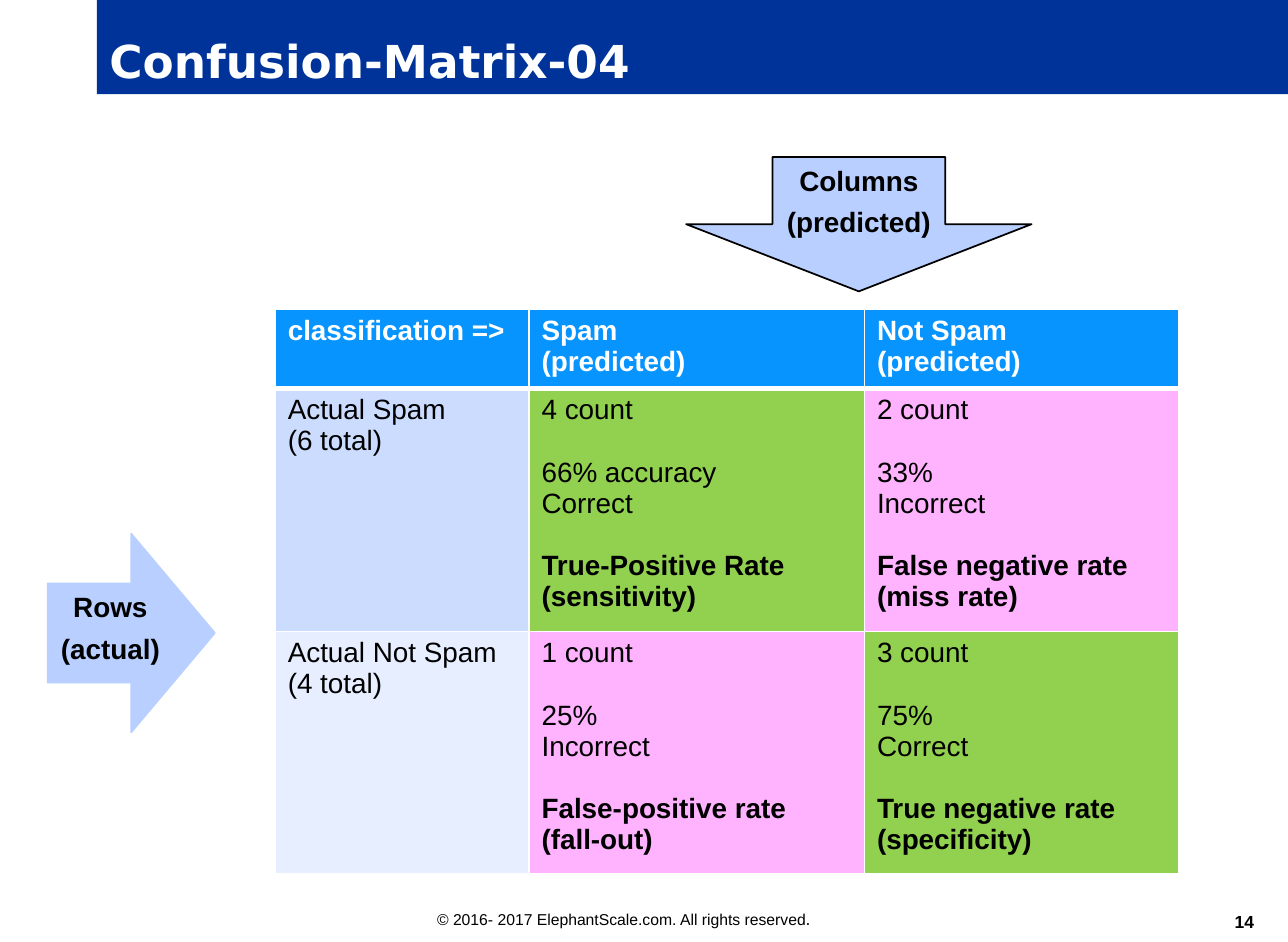
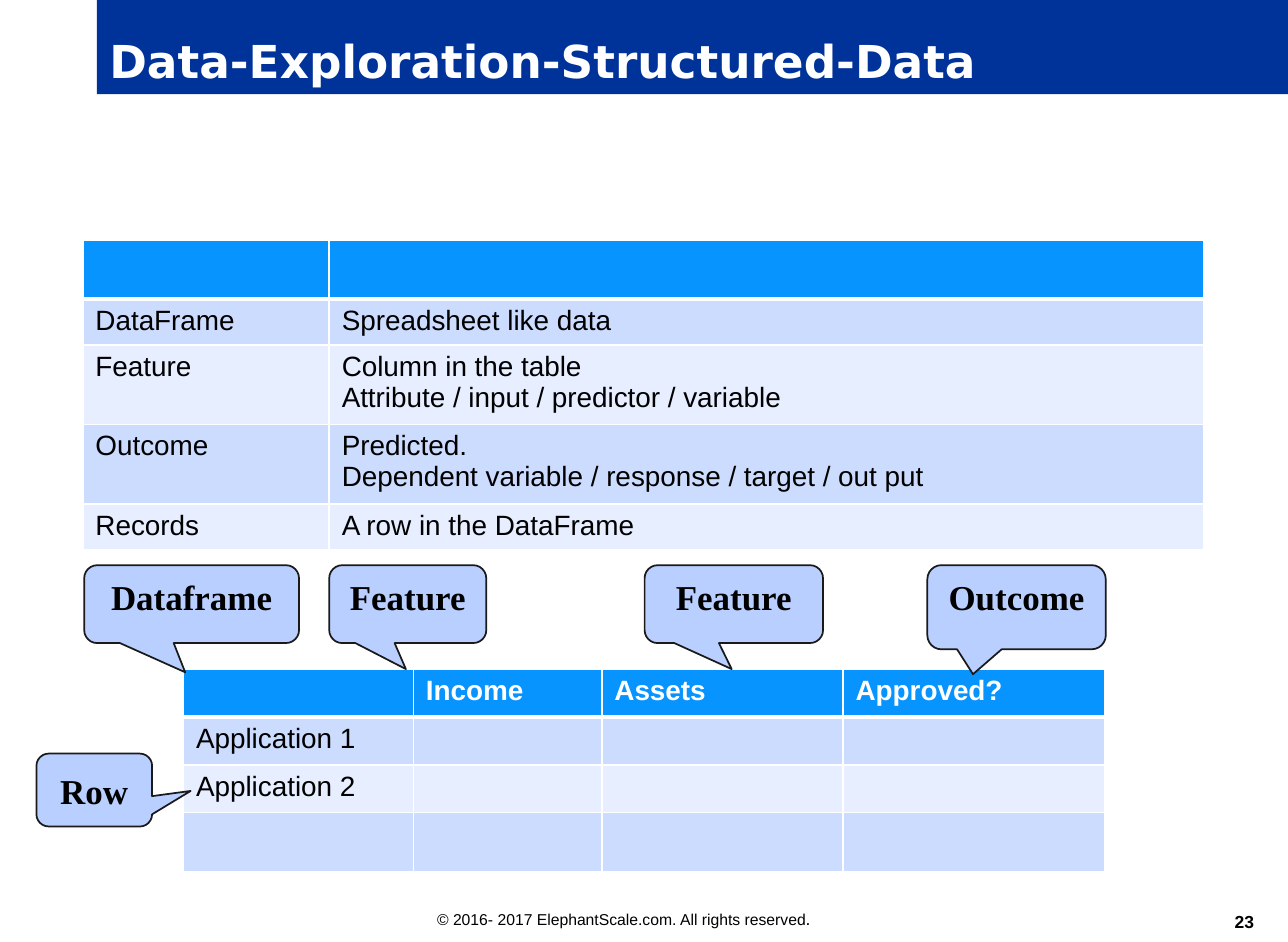
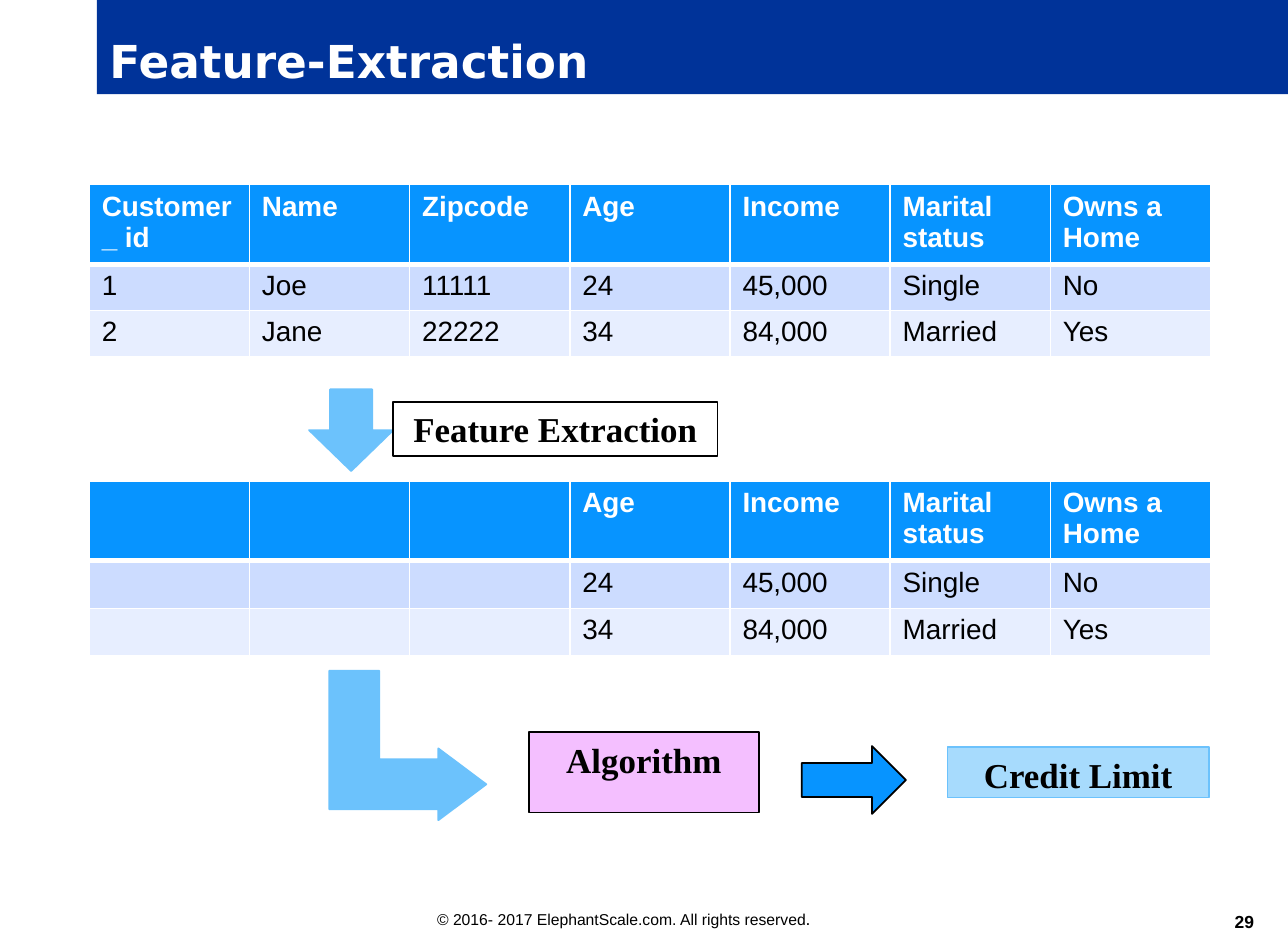
from dataclasses import dataclass
from lxml import etree
from pptx import Presentation
from pptx.dml.color import RGBColor
from pptx.enum.shapes import MSO_SHAPE
from pptx.enum.text import MSO_ANCHOR, MSO_AUTO_SIZE, PP_ALIGN
from pptx.oxml.ns import qn
from pptx.util import Inches, Pt


@dataclass(frozen=True)
class TextStyle:
    font: str
    size: float
    color: str = "000000"
    bold: bool = False


@dataclass(frozen=True)
class Theme:
    band: str = "003399"
    header: str = "0794FF"
    stripes: tuple = ("E7EEFF", "CCDCFF")
    correct: str = "92D050"
    incorrect: str = "FFB3FF"
    pale: str = "B8CFFF"
    sky: str = "6CC2FC"
    light_sky: str = "A7DBFD"
    pink: str = "F4BFFF"
    white: str = "FFFFFF"
    black: str = "000000"
    callout_line: str = "1A1A1A"
    thin: float = 0.96
    thick: float = 3
    group_gap: float = 18
    title: TextStyle = TextStyle("DejaVu Sans", 26, "FFFFFF", True)
    table_head: TextStyle = TextStyle("Arial", 16, "FFFFFF", True)
    table_body: TextStyle = TextStyle("Arial", 16)
    strong: TextStyle = TextStyle("Arial", 16, bold=True)
    label: TextStyle = TextStyle("Times New Roman", 20, bold=True)
    footer: TextStyle = TextStyle("Arial", 9)
    footer_end: TextStyle = TextStyle("Arial", 10)
    number: TextStyle = TextStyle("Arial", 10, bold=True)


COLUMNS, ROWS = 41, 30
WIDTH, HEIGHT = Inches(10.25), Inches(7.5)


def across(columns):
    return round(WIDTH * columns / COLUMNS)


def down(rows):
    return round(HEIGHT * rows / ROWS)


def area(left, top, width, height):
    return across(left), down(top), across(width), down(height)


def style_span(span, style):
    span.font.name = style.font
    span.font.size = Pt(style.size)
    span.font.bold = style.bold
    span.font.color.rgb = RGBColor.from_string(style.color)


def write(para, text, style, align=PP_ALIGN.LEFT):
    para.text = text
    para.alignment = align
    for span in para.runs:
        style_span(span, style)


class SlideWriter:
    def __init__(self, theme):
        self.theme = theme
        self.deck = Presentation()
        self.deck.slide_width, self.deck.slide_height = WIDTH, HEIGHT
        self.page = None

    def start(self, title, number):
        self.page = self.deck.slides.add_slide(self.deck.slide_layouts[5])
        band = self.page.shapes.title
        band.left, band.top, band.width, band.height = area(3.08, 0, 37.92, 3)
        band.fill.solid()
        band.fill.fore_color.rgb = RGBColor.from_string(self.theme.band)
        frame = band.text_frame
        frame.auto_size = MSO_AUTO_SIZE.NONE
        frame.vertical_anchor = MSO_ANCHOR.BOTTOM
        write(frame.paragraphs[0], title, self.theme.title)
        footer = self.text((13.52, 28.72, 18.6, 1.04),
                           "© 2016- 2017 ElephantScale.com. All rights reserved",
                           self.theme.footer, PP_ALIGN.LEFT)
        ending = footer.paragraphs[0].add_run()
        ending.text = "."
        style_span(ending, self.theme.footer_end)
        counter = self.text((37.52, 28.68, 2.4, 1), str(number), self.theme.number, PP_ALIGN.RIGHT)
        counter.vertical_anchor = MSO_ANCHOR.BOTTOM
        counter.margin_left = counter.margin_right = 0
        counter.margin_top = counter.margin_bottom = 0

    def text(self, place, text, style, align=PP_ALIGN.CENTER):
        frame = self.page.shapes.add_textbox(*area(*place)).text_frame
        frame.word_wrap = True
        write(frame.paragraphs[0], text, style, align)
        return frame

    def shape(self, kind, place, fill, line, lines=(), style=None, adjustments=(), rotation=0):
        box = self.page.shapes.add_shape(kind, *area(*place))
        box.shadow.inherit = False
        box.rotation = rotation
        for index, value in enumerate(adjustments):
            box.adjustments[index] = value
        if fill:
            box.fill.solid()
            box.fill.fore_color.rgb = RGBColor.from_string(fill)
        else:
            box.fill.background()
        box.line.color.rgb = RGBColor.from_string(line)
        box.line.width = Pt(1)
        frame = box.text_frame
        frame.word_wrap = True
        frame.vertical_anchor = MSO_ANCHOR.TOP
        for index, text in enumerate(lines):
            para = frame.add_paragraph() if index else frame.paragraphs[0]
            write(para, text, style or self.theme.label, PP_ALIGN.CENTER)
            if index:
                para.space_before = Pt(4.8)

    def callout(self, place, tip, lines=(), rotation=0):
        self.shape(MSO_SHAPE.ROUNDED_RECTANGULAR_CALLOUT, place, self.theme.pale,
                   self.theme.callout_line, lines, adjustments=(*tip, 0.167), rotation=rotation)

    def table(self, left, top, widths, heights, records, fills=None):
        place = area(left, top, sum(widths), sum(heights))
        grid = self.page.shapes.add_table(len(heights), len(widths), *place).table
        for column, width in zip(grid.columns, widths):
            column.width = across(width)
        for row, height in zip(grid.rows, heights):
            row.height = down(height)
        for row, record in enumerate(records):
            stripe = self.theme.stripes[row % 2] if row else self.theme.header
            for column, text in enumerate(record):
                cell = grid.cell(row, column)
                self.borders(cell, row)
                cell.fill.solid()
                color = (fills or {}).get((row, column), stripe)
                cell.fill.fore_color.rgb = RGBColor.from_string(color)
                self.fill_cell(cell.text_frame, text, row == 0)

    def borders(self, cell, row):
        theme = self.theme
        widths = {"L": theme.thin, "R": theme.thin,
                  "T": theme.thick if row == 1 else theme.thin,
                  "B": theme.thick if row == 0 else theme.thin}
        properties = cell._tc.get_or_add_tcPr()
        for side, width in widths.items():
            line = etree.SubElement(properties, qn(f"a:ln{side}"), w=str(Pt(width)))
            paint = etree.SubElement(line, qn("a:solidFill"))
            etree.SubElement(paint, qn("a:srgbClr"), val=theme.white)

    def fill_cell(self, frame, text, is_header):
        theme = self.theme
        para = frame.paragraphs[0]
        if not text:
            etree.SubElement(para._p, qn("a:endParaRPr"), sz=str(theme.table_body.size * 100))
            return
        for group, block in enumerate(text.split("\n\n")):
            style = theme.table_head if is_header else theme.strong if group == 2 else theme.table_body
            for index, line in enumerate(block.split("\n")):
                if group or index:
                    para = frame.add_paragraph()
                write(para, line, style)
                if group and not index:
                    para.space_before = Pt(theme.group_gap)


def confusion_matrix(writer):
    theme = writer.theme
    writer.start("Confusion-Matrix-04", 14)
    writer.table(8.76, 9.84, (8.08, 10.68, 10), (2.36, 7.32, 7.32), [
        ("classification =>", "Spam\n(predicted)", "Not Spam\n(predicted)"),
        ("Actual Spam\n(6 total)",
         "4 count\n\n66% accuracy\nCorrect\n\nTrue-Positive Rate\n(sensitivity)",
         "2 count\n\n33%\nIncorrect\n\nFalse negative rate\n(miss rate)"),
        ("Actual Not Spam\n(4 total)",
         "1 count\n\n25%\nIncorrect\n\nFalse-positive rate\n(fall-out)",
         "3 count\n\n75%\nCorrect\n\nTrue negative rate\n(specificity)"),
    ], {(row, column): theme.correct if row == column else theme.incorrect
        for row in (1, 2) for column in (1, 2)})
    writer.shape(MSO_SHAPE.RIGHT_ARROW, (1.52, 17, 5.32, 6.32), theme.pale, theme.pale,
                 ("Rows", "(actual)"), theme.strong)
    writer.shape(MSO_SHAPE.DOWN_ARROW, (21.84, 5, 11, 4.28), theme.pale, theme.black,
                 ("Columns", "(predicted)"), theme.strong)


def structured_data(writer):
    writer.start("Data-Exploration-Structured-Data", 23)
    writer.table(2.64, 7.64, (7.84, 27.84), (1.88, 1.4, 2.36, 2.36, 1.4), [
        ("", ""),
        ("DataFrame", "Spreadsheet like data"),
        ("Feature", "Column in the table\nAttribute / input / predictor / variable"),
        ("Outcome", "Predicted.\nDependent variable / response / target / out put"),
        ("Records", "A row in the DataFrame"),
    ])
    writer.table(5.84, 21.32, (7.32, 6, 7.68, 8.32), (1.52, 1.52, 1.52, 1.88), [
        ("", "Income", "Assets", "Approved?"),
        ("Application 1", "", "", ""),
        ("Application 2", "", "", ""),
        ("", "", "", ""),
    ])
    feature_tip = (-0.012, 0.834)
    for label, left, width, height, tip in (
        ("Outcome", 29.52, 5.68, 2.68, (-0.244, 0.796)),
        ("Feature", 20.52, 5.68, 2.48, feature_tip),
        ("Feature", 10.48, 5, 2.48, feature_tip),
        ("Dataframe", 2.68, 6.84, 2.48, (-0.03, 0.875)),
    ):
        writer.callout((left, 18, width, height), tip, (label,))
    writer.callout((1.84, 23.32, 2.32, 3.68), feature_tip, rotation=270)
    writer.text((0.24, 24.32, 5.52, 1.32), "Row", writer.theme.label)


def feature_extraction(writer):
    theme = writer.theme
    writer.start("Feature-Extraction", 29)
    customers = [
        ("Customer _ id", "Name", "Zipcode", "Age", "Income", "Marital status", "Owns a Home"),
        ("1", "Joe", "11111", "24", "45,000", "Single", "No"),
        ("2", "Jane", "22222", "34", "84,000", "Married", "Yes"),
    ]
    features = [("",) * 3 + customer[3:] for customer in customers]
    widths = (5.1,) * 7
    writer.table(2.84, 5.88, widths, (2.36, 1.4, 1.4), customers)
    writer.shape(MSO_SHAPE.DOWN_ARROW, (9.84, 12.4, 2.68, 2.6), theme.sky, theme.sky)
    writer.table(2.84, 15.32, widths, (2.36, 1.52, 1.52), features)
    writer.shape(MSO_SHAPE.BENT_UP_ARROW, (10.6, 21.24, 4.76, 5), theme.sky, theme.sky,
                 adjustments=(0.334, 0.24, 0.321), rotation=90)
    writer.shape(MSO_SHAPE.RECTANGLE, (16.84, 23.32, 7.32, 2.56), theme.pink, theme.black,
                 ("Algorithm",))
    writer.shape(MSO_SHAPE.RECTANGLE, (30.16, 23.8, 8.32, 1.6), theme.light_sky, theme.sky,
                 ("Credit Limit",))
    writer.shape(MSO_SHAPE.RIGHT_ARROW, (25.52, 23.76, 3.32, 2.16), theme.header, theme.black)
    writer.shape(MSO_SHAPE.RECTANGLE, (12.52, 12.8, 10.32, 1.72), None, theme.black,
                 ("Feature Extraction",))


def main():
    writer = SlideWriter(Theme())
    confusion_matrix(writer)
    structured_data(writer)
    feature_extraction(writer)
    writer.deck.save("out.pptx")


if __name__ == "__main__":
    main()
